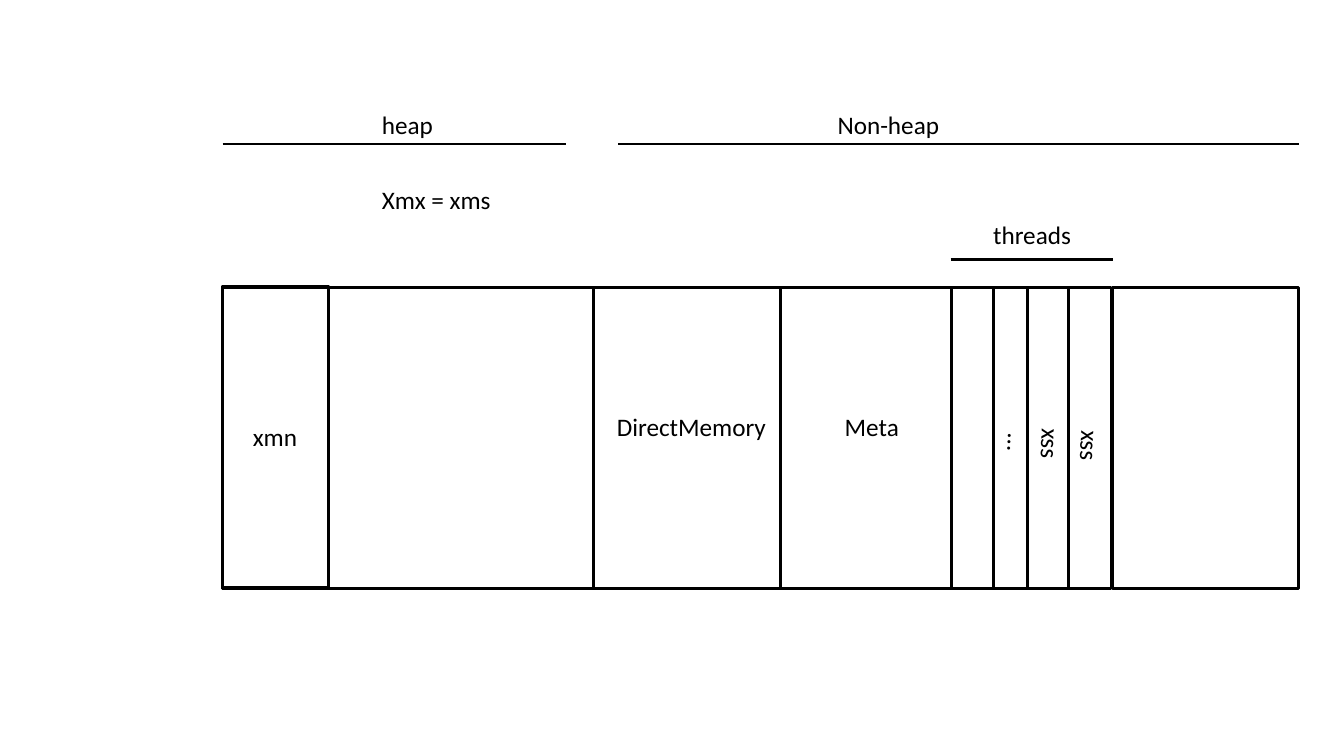
import pptx
import pptx.dml.color
import pptx.enum.shapes
import pptx.enum.text
import pptx.oxml.ns
import pptx.util
from lxml import etree
from pptx.util import Cm

BLACK = pptx.dml.color.RGBColor(0x00, 0x00, 0x00)
BLOCK_TOP, BLOCK_HEIGHT = 7.24, 7.59
LABEL_HEIGHT = 1.02
THREAD_ROTATION = 92.7


class MemoryDiagram:
    """Holds the style and the group of shapes on the current slide."""

    font_name = "Calibri"
    font_size = pptx.util.Pt(18)
    line_width = pptx.util.Pt(2)

    def __init__(self, slide):
        self.slide = slide
        self.shapes = slide.shapes.add_group_shape().shapes

    def style_line(self, shape):
        shape.line.color.rgb = BLACK
        shape.line.width = self.line_width

    def add_block(self, left, width, top=BLOCK_TOP):
        shape = self.shapes.add_shape(
            pptx.enum.shapes.MSO_SHAPE.RECTANGLE,
            Cm(left), Cm(top), Cm(width), Cm(BLOCK_HEIGHT))
        shape.shadow.inherit = False
        shape.fill.background()
        self.style_line(shape)

    def add_span(self, left, right, y):
        """Draw the horizontal line under a region's label."""
        connector = self.shapes.add_connector(
            pptx.enum.shapes.MSO_CONNECTOR.STRAIGHT,
            Cm(left), Cm(y), Cm(right), Cm(y))
        self.style_line(connector)
        etree.SubElement(connector._element.spPr,
                         pptx.oxml.ns.qn("a:effectLst"))

    def add_label(self, text, left, top, width, rotation=0):
        shape = self.shapes.add_textbox(
            Cm(left), Cm(top), Cm(width), Cm(LABEL_HEIGHT))
        shape.rotation = rotation
        frame = shape.text_frame
        frame.word_wrap = False
        frame.auto_size = pptx.enum.text.MSO_AUTO_SIZE.SHAPE_TO_FIT_TEXT
        run = frame.paragraphs[0].add_run()
        run.text = text
        run.font.name = self.font_name
        run.font.size = self.font_size
        run.font.color.rgb = BLACK


def main():
    presentation = pptx.Presentation()
    presentation.slide_width = pptx.util.Inches(13.33)
    presentation.slide_height = pptx.util.Inches(7.5)
    blank_layout = presentation.slide_layouts[6]
    diagram = MemoryDiagram(presentation.slides.add_slide(blank_layout))

    # Heap, its young part, direct memory, thread stacks and the rest
    diagram.add_block(5.61, 22.38)
    diagram.add_block(5.61, 9.35)
    diagram.add_block(5.61, 2.67, top=7.21)
    diagram.add_block(14.96, 4.7)
    for thread_left in (23.98, 25.88):
        diagram.add_block(thread_left, 1.04)
    diagram.add_block(28.02, 4.7)

    for left, right, y in ((5.61, 14.27, 3.63), (15.57, 32.72, 3.63),
                           (23.95, 28.04, 6.53)):
        diagram.add_span(left, right, y)

    for text, left, top, width in (
            ("heap", 9.37, 2.62, 1.83),
            ("Non-heap", 20.85, 2.62, 3.1),
            ("Xmx = xms", 9.37, 4.52, 3.28),
            ("threads", 24.77, 5.41, 2.49),
            ("xmn", 6.12, 10.49, 1.65),
            ("DirectMemory", 15.29, 10.24, 4.32),
            ("Meta", 21.03, 10.24, 1.88)):
        diagram.add_label(text, left, top, width)

    for text, left, top, width in (("…", 25.15, 10.67, 0.97),
                                   ("xss", 25.83, 10.69, 1.3),
                                   ("xss", 26.82, 10.74, 1.3)):
        diagram.add_label(text, left, top, width, THREAD_ROTATION)

    presentation.save("out.pptx")


if __name__ == "__main__":
    main()
